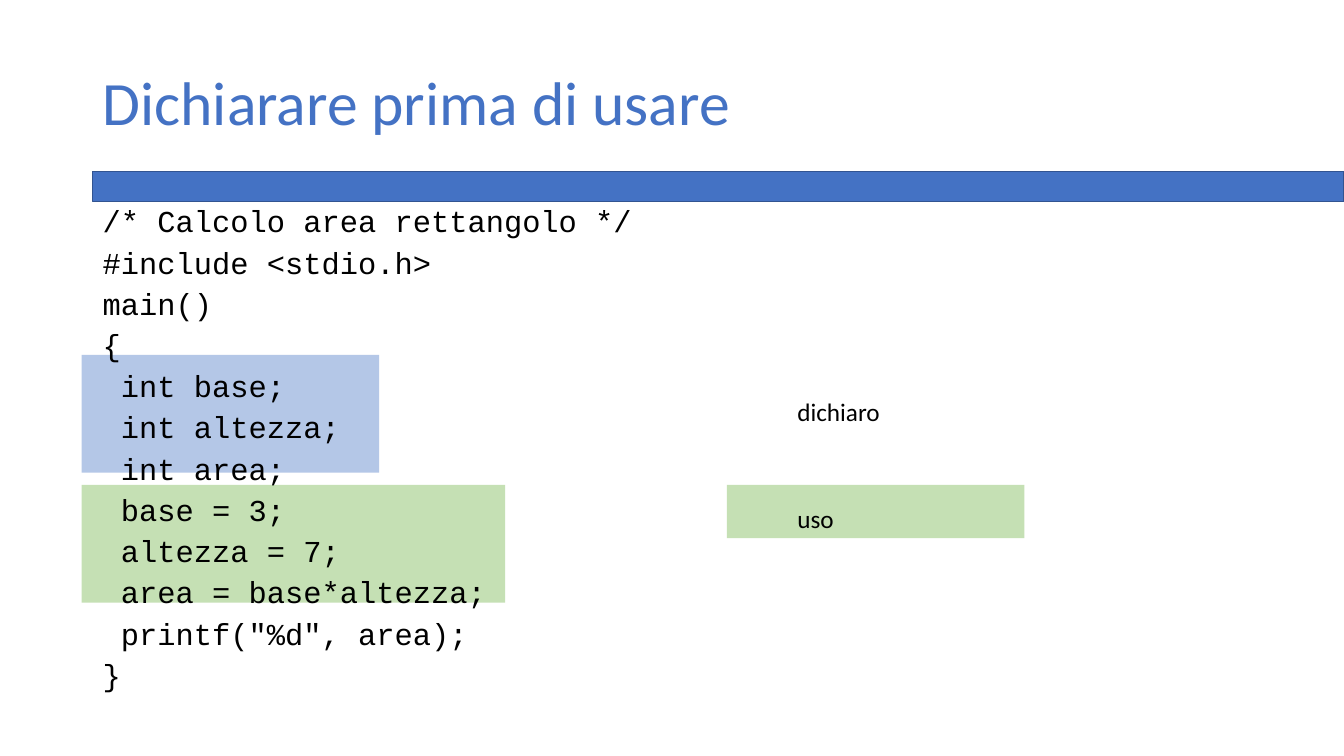
from pptx import Presentation
from pptx.dml.color import RGBColor
from pptx.enum.shapes import MSO_SHAPE
from pptx.enum.text import MSO_ANCHOR
from pptx.util import Inches, Pt

BLUE, DARK_BLUE, BLACK = "4472C4", "325491", "000000"
DECLARE_FILL, USE_FILL = "B4C7E7", "C5E0B4"

TITLE = {"name": "Calibri", "size": Pt(44)}
CODE = {"name": "Courier New", "size": Pt(21.7)}
LABEL = {"name": "Calibri", "size": Pt(18)}

PROGRAM = """/* Calcolo area rettangolo */
#include <stdio.h>
main()
{
 int base;
 int altezza;
 int area;
 base = 3;
 altezza = 7;
 area = base*altezza;
 printf("%d", area);
}"""


def color(hex_value):
    return RGBColor.from_string(hex_value)


def add_band(slide, box, fill, outline=None):
    band = slide.shapes.add_shape(MSO_SHAPE.RECTANGLE, *map(Inches, box))
    band.shadow.inherit = False
    band.fill.solid()
    band.fill.fore_color.rgb = color(fill)
    if outline:
        band.line.color.rgb = color(outline)
        band.line.width = Pt(1)
    else:
        band.line.fill.background()


def add_text(slide, box, text, font, hex_value=BLACK, anchor=MSO_ANCHOR.TOP,
             line_spacing=1.0, gap=0):
    frame = slide.shapes.add_textbox(*map(Inches, box)).text_frame
    frame.word_wrap = True
    frame.vertical_anchor = anchor
    for index, line in enumerate(text.split("\n")):
        paragraph = frame.add_paragraph() if index else frame.paragraphs[0]
        paragraph.line_spacing = line_spacing
        paragraph.space_before = Pt(gap if index else 0)
        run = paragraph.add_run()
        run.text = line
        for attribute, value in font.items():
            setattr(run.font, attribute, value)
        run.font.color.rgb = color(hex_value)


def add_header(slide, left, top, width, height):
    # Rule under the title, running to the right edge
    add_band(slide, (left, top + height, 13.33 - left, 0.3), BLUE, DARK_BLUE)
    add_text(slide, (left, top, width, height), "Dichiarare prima di usare",
             TITLE, BLUE, MSO_ANCHOR.MIDDLE, line_spacing=0.9)


def add_program(slide, left, top, width, height):
    # Highlights behind the declarations and the uses
    add_band(slide, (left - 0.11, top + 2.81, 4.2, 1.17), USE_FILL)
    add_band(slide, (left - 0.11, top + 1.52, 2.95, 1.17), DECLARE_FILL)
    add_text(slide, (left, top, width, height), PROGRAM, CODE,
             line_spacing=0.9, gap=6)


def add_legend(slide, left, top, width):
    add_text(slide, (left + 0.6, top, 1.51, 0.4), "dichiaro", LABEL)
    add_band(slide, (left, top + 0.93, width, 0.53), USE_FILL)
    add_text(slide, (left + 0.6, top + 1.06, 1.33, 0.4), "uso", LABEL)


def main():
    presentation = Presentation()
    presentation.slide_width = Inches(13.33)
    presentation.slide_height = Inches(7.5)
    slide = presentation.slides.add_slide(presentation.slide_layouts[6])
    add_header(slide, 0.92, 0.4, 11.5, 1.3)
    add_program(slide, 0.92, 2, 11.5, 4.76)
    add_legend(slide, 7.21, 3.88, 2.95)
    presentation.save("out.pptx")


if __name__ == "__main__":
    main()
